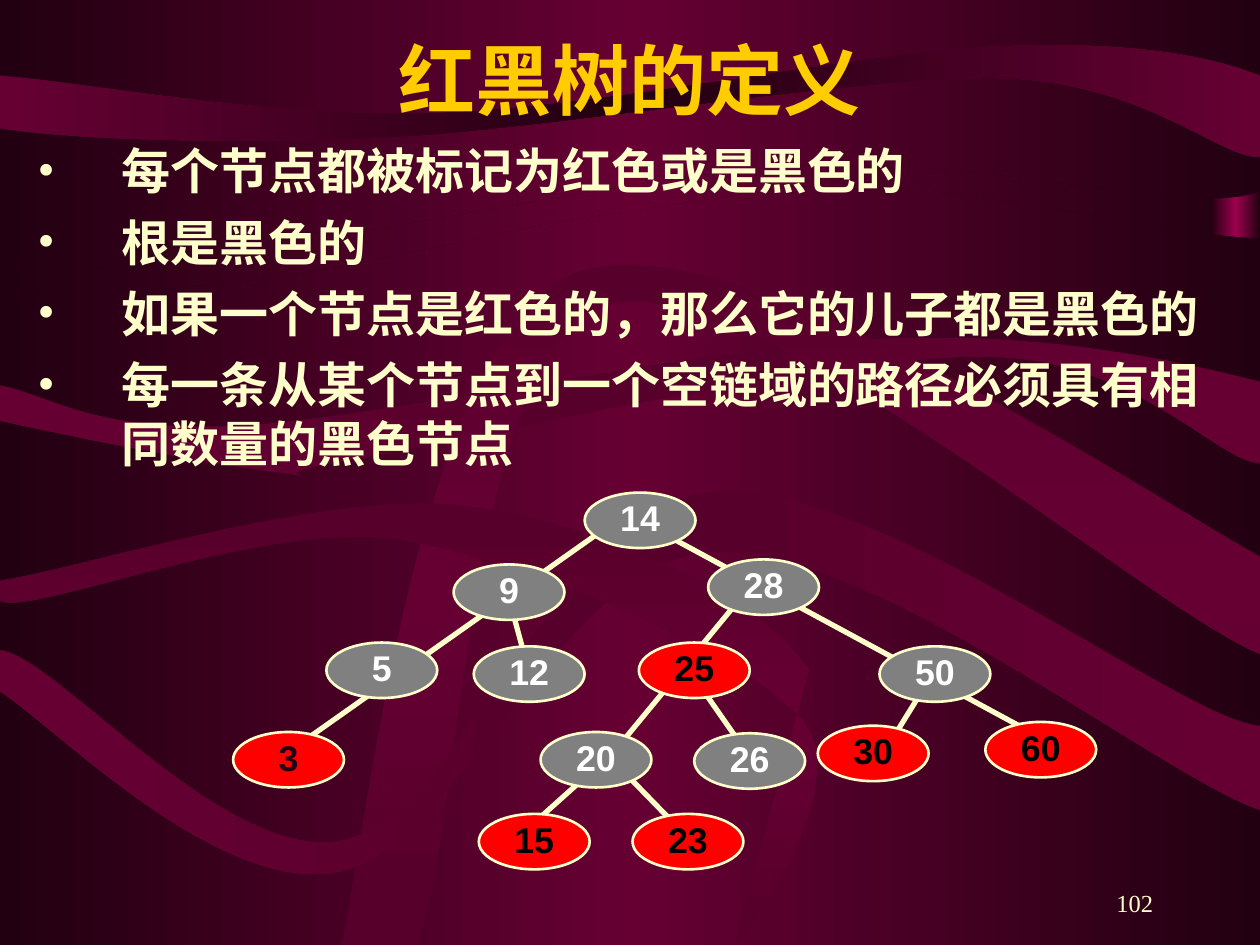
from copy import deepcopy

from lxml import etree
from pptx import Presentation
from pptx.dml.color import RGBColor
from pptx.enum.shapes import MSO_CONNECTOR, MSO_SHAPE
from pptx.enum.text import MSO_ANCHOR as Anchor, PP_ALIGN as Align
from pptx.oxml.ns import qn
from pptx.util import Inches, Pt

DARK, WINE, PLUM, MAGENTA = "220011", "660033", "56002B", "9C004E"
CREAM, GOLD, GRAY, RED, WHITE, BLACK = "FFFFCC", "FFCC00", "808080", "FF0000", "FFFFFF", "000000"
SERIF, SANS = "Times New Roman", "Arial"

# Each outline: outer colour, middle colour, angle, start point, segments.
# A segment of two numbers is a straight line, one of six a cubic curve.
BACKDROPS = [
    (DARK, WINE, 0, (0, 0), [
        (10, 0), (10, 1.52), (9.38, 1.74, 7.92, 1.22, 6.25, 1.32),
        (4.58, 1.42, 1.04, 2.33, 0, 2.11), (0, 0)]),
    (DARK, WINE, 0, (0, 2.28), [
        (1.78, 2.45, 3.4, 1.94, 4.58, 1.74), (4.58, 1.74, 5.67, 1.58, 5.86, 1.55),
        (7.15, 1.27, 9.17, 1.89, 10, 1.89), (10, 7.5), (0, 7.5),
        (0, 7.5, 0, 2.28, 0, 2.28)]),
]
RIBBONS = [
    (WINE, DARK, 0, (0, 0.6), [
        (0, 1.02), (0.51, 1.1, 1.76, 1.15, 3.08, 1.09),
        (4.4, 1.02, 6.79, 0.6, 7.94, 0.62), (9.09, 0.65, 9.66, 1.25, 10, 1.25),
        (10, 0.6), (9.65, 0.46, 9.01, 0.32, 7.92, 0.37),
        (6.82, 0.42, 4.77, 0.86, 3.45, 0.9), (2.13, 0.94, 0.72, 0.66, 0, 0.6)]),
    (WINE, PLUM, 0, (0, 3.06), [
        (0, 3.34), (0.37, 3.43, 1.75, 3.7, 2.22, 3.75),
        (2.69, 3.8, 1.9, 3.79, 2.82, 3.64), (3.75, 3.48, 6.6, 2.82, 7.8, 2.83),
        (9, 2.83, 9.63, 3.65, 10, 3.68), (10, 3.03),
        (9.5, 2.9, 8.36, 2.63, 7.01, 2.69), (5.66, 2.74, 3.07, 3.32, 1.9, 3.38),
        (0.73, 3.44, 0.4, 3.13, 0, 3.06)]),
    (PLUM, WINE, 90, (2.71, 7.5), [
        (2.91, 6.61, 3.32, 2.69, 4.54, 2.18), (5.75, 1.66, 9.09, 3.92, 10, 4.42),
        (10, 5.19), (9.13, 4.85, 5.91, 2.05, 4.79, 2.43),
        (3.68, 2.82, 3.66, 6.66, 3.31, 7.5), (2.71, 7.5)]),
    (WINE, PLUM, 0, (0, 5.16), [
        (0, 5.49), (0.45, 5.78, 1.74, 7.11, 2.69, 6.92),
        (3.63, 6.74, 4.43, 4.46, 5.65, 4.38), (6.87, 4.29, 9.27, 6.2, 10, 6.43),
        (10, 5.76), (9.38, 5.72, 6.91, 3.77, 5.62, 3.91),
        (4.41, 4.06, 3.67, 6.46, 2.73, 6.67), (1.79, 6.87, 0.45, 5.2, 0, 5.16)]),
    (PLUM, WINE, 90, (0, 4.61), [
        (0, 4.77), (0.26, 4.89, 2.08, 4.13, 3.14, 4.28),
        (4.2, 4.44, 5.92, 5.18, 6.37, 5.72), (6.82, 6.25, 5.82, 7.57, 5.83, 7.5),
        (6.42, 5.32), (6.06, 4.74, 4.73, 4.13, 3.66, 4.01),
        (2.59, 3.89, 0.76, 4.48, 0, 4.61)]),
]

RULES = ["每个节点都被标记为红色或是黑色的", "根是黑色的",
         "如果一个节点是红色的，那么它的儿子都是黑色的",
         "每一条从某个节点到一个空链域的路径必须具有相同数量的黑色节点"]

# Tree places are measured from the corner of the tree's box.
NODE_WIDTH, NODE_HEIGHT = 0.88, 0.44
BRANCHES = [
    (2.93, 2.04, 3.66, 2.79), (3.62, 1.41, 4.15, 2.17), (5.57, 1.41, 5.13, 2.12),
    (2.87, 2.19, 2.2, 2.79), (2.19, 0.84, 2.38, 1.54), (4.1, 0.75, 2.93, 2.17),
    (3.37, 0.3, 6.59, 2.04), (2.93, 0.3, 0.28, 2.17),
]
BLACK_NODES = [("14", 2.79, 0), ("12", 1.91, 1.22), ("5", 0.74, 1.19), ("9", 1.75, 0.57),
               ("28", 3.77, 0.53), ("26", 3.66, 1.91), ("50", 5.13, 1.22), ("20", 2.44, 1.9)]
RED_NODES = [("3", 0, 1.9), ("15", 1.95, 2.55), ("60", 5.97, 1.82), ("25", 3.22, 1.19),
             ("30", 4.64, 1.85), ("23", 3.17, 2.55)]


def rgb(hex_colour):
    return RGBColor.from_string(hex_colour)


def fill_gradient(fill, outer, middle, angle=0):
    """Blend from the outer colour to the middle one and back."""
    fill.gradient()
    fill.gradient_angle = angle
    last_stop = fill.gradient_stops[1]._gs
    last_stop.addnext(deepcopy(last_stop))
    for stop, colour, position in zip(fill.gradient_stops, (outer, middle, outer), (0, 0.5, 1)):
        stop.color.rgb = rgb(colour)
        stop.position = position


def bend_segments(shape, segments):
    """Merge the three lines through a curve's points into one cubic curve."""
    lines = iter(shape._element.findall(".//" + qn("a:lnTo")))
    for segment in segments:
        first = next(lines)
        if len(segment) == 2:
            continue
        curve = etree.Element(qn("a:cubicBezTo"))
        first.addprevious(curve)
        for line in (first, next(lines), next(lines)):
            curve.append(line[0])
            line.getparent().remove(line)


def add_outline(slide, left, top, outline):
    outer, middle, angle, (start_x, start_y), segments = outline
    points = [(Inches(left + segment[i]), Inches(top + segment[i + 1]))
              for segment in segments for i in range(0, len(segment), 2)]
    builder = slide.shapes.build_freeform(Inches(left + start_x), Inches(top + start_y))
    builder.add_line_segments(points, close=True)
    shape = builder.convert_to_shape()
    bend_segments(shape, segments)
    shape.shadow.inherit = False
    fill_gradient(shape.fill, outer, middle, angle)
    shape.line.fill.background()


def add_background(slide):
    fill_gradient(slide.background.fill, DARK, WINE)
    strip = slide.shapes.add_shape(MSO_SHAPE.RECTANGLE, Inches(9.61), Inches(0.49),
                                   Inches(0.39), Inches(3.45))
    strip.shadow.inherit = False
    fill_gradient(strip.fill, DARK, MAGENTA)
    strip.line.fill.background()
    for outline in BACKDROPS + RIBBONS:
        add_outline(slide, 0, 0, outline)


def format_paragraph(paragraph, size, colour, font=SERIF, bold=True, align=Align.LEFT):
    paragraph.alignment = align
    for run in paragraph.runs:
        run.font.size = Pt(size)
        run.font.name = font
        run.font.bold = bold
        run.font.color.rgb = rgb(colour)


def add_text(slide, box, text, anchor=Anchor.TOP):
    text_frame = slide.shapes.add_textbox(*map(Inches, box)).text_frame
    text_frame.word_wrap = True
    text_frame.vertical_anchor = anchor
    text_frame.text = text
    return text_frame.paragraphs


def add_bullet(paragraph, indent, colour):
    properties = paragraph._p.get_or_add_pPr()
    properties.set("marL", str(Inches(indent)))
    properties.set("indent", str(-Inches(indent)))
    bullet_colour = etree.SubElement(properties, qn("a:buClr"))
    etree.SubElement(bullet_colour, qn("a:srgbClr")).set("val", colour)
    etree.SubElement(properties, qn("a:buFont")).set("typeface", SERIF)
    etree.SubElement(properties, qn("a:buChar")).set("char", "•")


def add_rules(slide, box):
    for index, paragraph in enumerate(add_text(slide, box, "\n".join(RULES))):
        add_bullet(paragraph, 0.67, CREAM)
        if index:
            paragraph.space_before = Pt(7)
        format_paragraph(paragraph, 28, CREAM)


def add_node(slide, left, top, label, fill, text_colour):
    node = slide.shapes.add_shape(MSO_SHAPE.OVAL, Inches(left), Inches(top),
                                  Inches(NODE_WIDTH), Inches(NODE_HEIGHT))
    node.shadow.inherit = False
    node.fill.solid()
    node.fill.fore_color.rgb = rgb(fill)
    node.line.color.rgb = rgb(CREAM)
    node.line.width = Pt(1.5)
    node.text_frame.text = label
    node.text_frame.vertical_anchor = Anchor.MIDDLE
    paragraph = node.text_frame.paragraphs[0]
    paragraph.line_spacing = 0.9
    format_paragraph(paragraph, 20.4, text_colour, SANS, align=Align.CENTER)


def add_tree(slide, left, top):
    for x1, y1, x2, y2 in BRANCHES:
        branch = slide.shapes.add_connector(MSO_CONNECTOR.STRAIGHT, Inches(left + x1),
                                            Inches(top + y1), Inches(left + x2), Inches(top + y2))
        branch.line.color.rgb = rgb(CREAM)
        branch.line.width = Pt(3)
        etree.SubElement(branch._element.spPr, qn("a:effectLst"))
    for nodes, fill, text_colour in ((BLACK_NODES, GRAY, WHITE), (RED_NODES, RED, BLACK)):
        for label, x, y in nodes:
            colour = DARK if label == "3" else text_colour
            add_node(slide, left + x, top + y, label, fill, colour)


def main():
    presentation = Presentation()
    presentation.slide_width, presentation.slide_height = Inches(10), Inches(7.5)
    slide = presentation.slides.add_slide(presentation.slide_layouts[6])
    add_background(slide)
    number = add_text(slide, (7.17, 6.83, 2.08, 0.5), "102", Anchor.BOTTOM)[0]
    format_paragraph(number, 14, CREAM, bold=False, align=Align.RIGHT)
    title = add_text(slide, (0.75, 0, 8.5, 1.25), "红黑树的定义", Anchor.MIDDLE)[0]
    format_paragraph(title, 44, GOLD, align=Align.CENTER)
    add_rules(slide, (0.2, 1.07, 9.53, 3.07))
    add_tree(slide, 1.85, 3.91)
    presentation.save("out.pptx")


if __name__ == "__main__":
    main()
